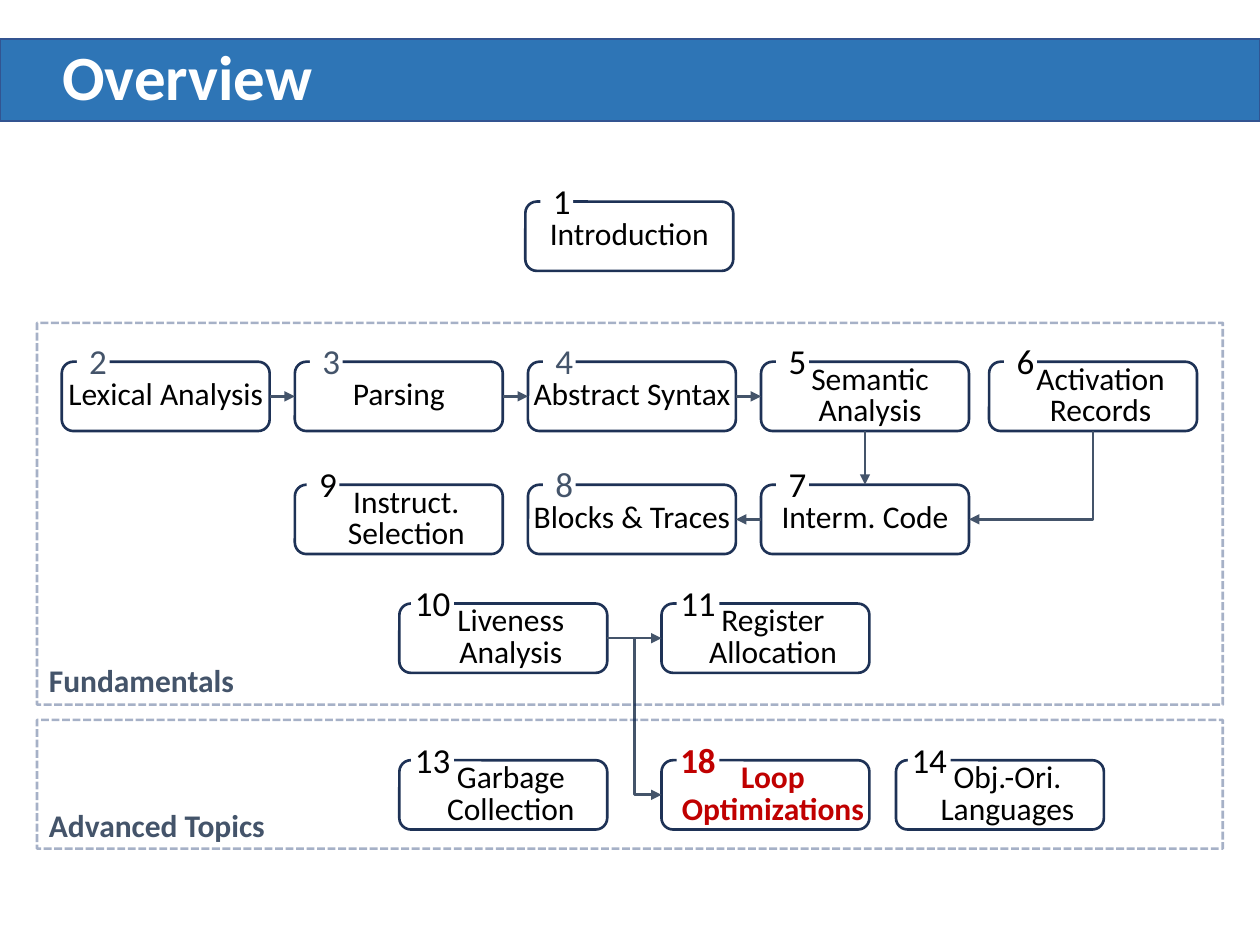
from dataclasses import dataclass
from typing import NamedTuple

from lxml import etree
from pptx import Presentation
from pptx.dml.color import RGBColor
from pptx.enum import dml, shapes, text
from pptx.oxml.ns import qn
from pptx.util import Pt


@dataclass(frozen=True)
class Theme:
    font: str = "Calibri"
    band: str = "2E75B6"
    rim: str = "325491"
    edge: str = "1E3256"
    frame: str = "002060"
    slate: str = "44546A"
    ink: str = "000000"
    paper: str = "FFFFFF"
    alert: str = "C00000"
    title: float = 36
    label: float = 18
    badge: float = 20
    thin: float = 1
    line: float = 1.5


class Node(NamedTuple):
    num: str
    name: str
    x: float
    y: float
    inset: float = 0
    shift: float = 8.64
    tint: str = Theme.ink
    hot: bool = False


class Link(NamedTuple):
    start: tuple[float, float]
    tip: tuple[float, float]
    bent: bool = False


class Frame(NamedTuple):
    name: str
    top: float
    high: float
    base: float


T = Theme()
WIDE, HIGH = 118.8, 39.6
MID = HIGH / 2
COLS = [35.3 + 133.2 * i for i in range(4)]
FAR = 565.2
LEFT, RIGHT, LAST = 228.2, 378, 512
TOP, ROW1, ROW2, ROW3, ROW4 = 115.2, 206.7, 277, 344.9, 434.4
SIDE = 8.64
NEAR = 6.8

NODES = [
    Node("1", "Introduction", 300.2, TOP),
    Node("2", "Lexical Analysis", COLS[0], ROW1, tint=T.slate),
    Node("3", "Parsing", COLS[1], ROW1, tint=T.slate),
    Node("4", "Abstract Syntax", COLS[2], ROW1, tint=T.slate),
    Node("5", "Semantic Analysis", COLS[3], ROW1, 5.76),
    Node("6", "Activation Records", FAR, ROW1, SIDE),
    Node("7", "Interm. Code", COLS[3], ROW2),
    Node("8", "Blocks & Traces", COLS[2], ROW2, tint=T.slate),
    Node("9", "Instruct. Selection", COLS[1], ROW2, SIDE, NEAR),
    Node("10", "Liveness Analysis", LEFT, ROW3, SIDE, NEAR),
    Node("11", "Register Allocation", RIGHT, ROW3, SIDE),
    Node("13", "Garbage Collection", LEFT, ROW4, SIDE, NEAR),
    Node("18", "Loop Optimizations", RIGHT, ROW4, SIDE, tint=T.alert, hot=True),
    Node("14", "Obj.-Ori. Languages", LAST, ROW4, SIDE, NEAR),
]

FORK = (LEFT + WIDE + RIGHT) / 2
LINKS = [
    *[Link((a + WIDE, ROW1 + MID), (b, ROW1 + MID)) for a, b in zip(COLS, COLS[1:])],
    Link((COLS[3] + WIDE / 2, ROW1 + HIGH), (COLS[3] + WIDE / 2, ROW2)),
    Link((COLS[3], ROW2 + MID), (COLS[2] + WIDE, ROW2 + MID)),
    Link((LEFT + WIDE, ROW3 + MID), (RIGHT, ROW3 + MID)),
    Link((FAR + WIDE / 2, ROW1 + HIGH), (COLS[3] + WIDE, ROW2 + MID), True),
    Link((FORK, ROW3 + MID), (RIGHT, ROW4 + MID), True),
]

FRAMES = [
    Frame("Fundamentals", 184.5, 218.2, 374.4),
    Frame("Advanced Topics", 411.4, 73.6, 457.2),
]


def hue(code: str) -> RGBColor:
    return RGBColor.from_string(code)


def block(slide, kind, x: float, y: float, w: float, h: float,
          fill: str = "", line: str = "", width: float = T.line):
    shape = slide.shapes.add_shape(kind, Pt(x), Pt(y), Pt(w), Pt(h))
    shape.shadow.inherit = False
    if fill:
        shape.fill.solid()
        shape.fill.fore_color.rgb = hue(fill)
    else:
        shape.fill.background()
    if line:
        shape.line.color.rgb = hue(line)
        shape.line.width = Pt(width)
    else:
        shape.line.fill.background()
    return shape


def write(shape, words: str, size: float, tint: str, bold: bool = False,
          align=text.PP_ALIGN.CENTER, space=None, anchor=text.MSO_ANCHOR.MIDDLE) -> None:
    body = shape.text_frame
    body.word_wrap = True
    body.vertical_anchor = anchor
    body.text = words
    para = body.paragraphs[0]
    para.alignment = align
    if space:
        para.line_spacing = space
    font = para.runs[0].font
    font.name, font.size, font.bold = T.font, Pt(size), bold
    font.color.rgb = hue(tint)


def label(slide, words: str, x: float, y: float, w: float, h: float, size: float,
          tint: str, anchor, space=None) -> None:
    box = slide.shapes.add_textbox(Pt(x), Pt(y), Pt(w), Pt(h))
    write(box, words, size, tint, True, text.PP_ALIGN.LEFT, space, anchor)


def draw_node(slide, node: Node) -> None:
    box = block(slide, shapes.MSO_SHAPE.ROUNDED_RECTANGLE,
                node.x, node.y, WIDE, HIGH, line=T.edge)
    body = box.text_frame
    body.margin_left = Pt(node.inset)
    body.margin_right = body.margin_top = body.margin_bottom = Pt(0)
    write(box, node.name, T.label, T.alert if node.hot else T.ink, node.hot,
          space=Pt(T.label))
    pair = len(node.num) > 1
    badge = block(slide, shapes.MSO_SHAPE.RECTANGLE, node.x + node.shift,
                  node.y - 11.7, 24.5 if pair else 18.7, 22.3, fill=T.paper)
    if pair:
        badge.text_frame.margin_left = badge.text_frame.margin_right = Pt(0)
    write(badge, node.num, T.badge, node.tint, node.hot)


def draw_link(slide, link: Link) -> None:
    kind = shapes.MSO_CONNECTOR.ELBOW if link.bent else shapes.MSO_CONNECTOR.STRAIGHT
    wire = slide.shapes.add_connector(kind, *map(Pt, link.tip + link.start))
    wire.line.color.rgb = hue(T.slate)
    wire.line.width = Pt(T.line)
    props = wire._element.spPr
    if link.bent:
        props.find(qn("a:prstGeom")).set("prst", "bentConnector2")
    etree.SubElement(props.find(qn("a:ln")), qn("a:headEnd"), type="triangle")
    etree.SubElement(props, qn("a:effectLst"))


def draw_frame(slide, frame: Frame) -> None:
    box = block(slide, shapes.MSO_SHAPE.RECTANGLE, 21.2, frame.top, 677.6, frame.high,
                line=T.frame)
    box.line.dash_style = dml.MSO_LINE.SQUARE_DOT
    tone = box._element.spPr.find(".//" + qn("a:ln")).find(".//" + qn("a:srgbClr"))
    etree.SubElement(tone, qn("a:alpha"), val="35000")
    label(slide, frame.name, 20.9, frame.base, 360, 29, T.label, T.slate,
          text.MSO_ANCHOR.TOP)


def main() -> None:
    deck = Presentation()
    deck.slide_width, deck.slide_height = Pt(720), Pt(540)
    slide = deck.slides.add_slide(deck.slide_layouts[6])
    block(slide, shapes.MSO_SHAPE.RECTANGLE, 0, 22.4, 720, 47, T.band, T.rim, T.thin)
    label(slide, "Overview", 28.5, 22.4, 665, 47, T.title, T.paper,
          text.MSO_ANCHOR.MIDDLE, 0.9)
    for node in NODES:
        draw_node(slide, node)
    for link in LINKS:
        draw_link(slide, link)
    for frame in FRAMES:
        draw_frame(slide, frame)
    deck.save("out.pptx")


if __name__ == "__main__":
    main()
